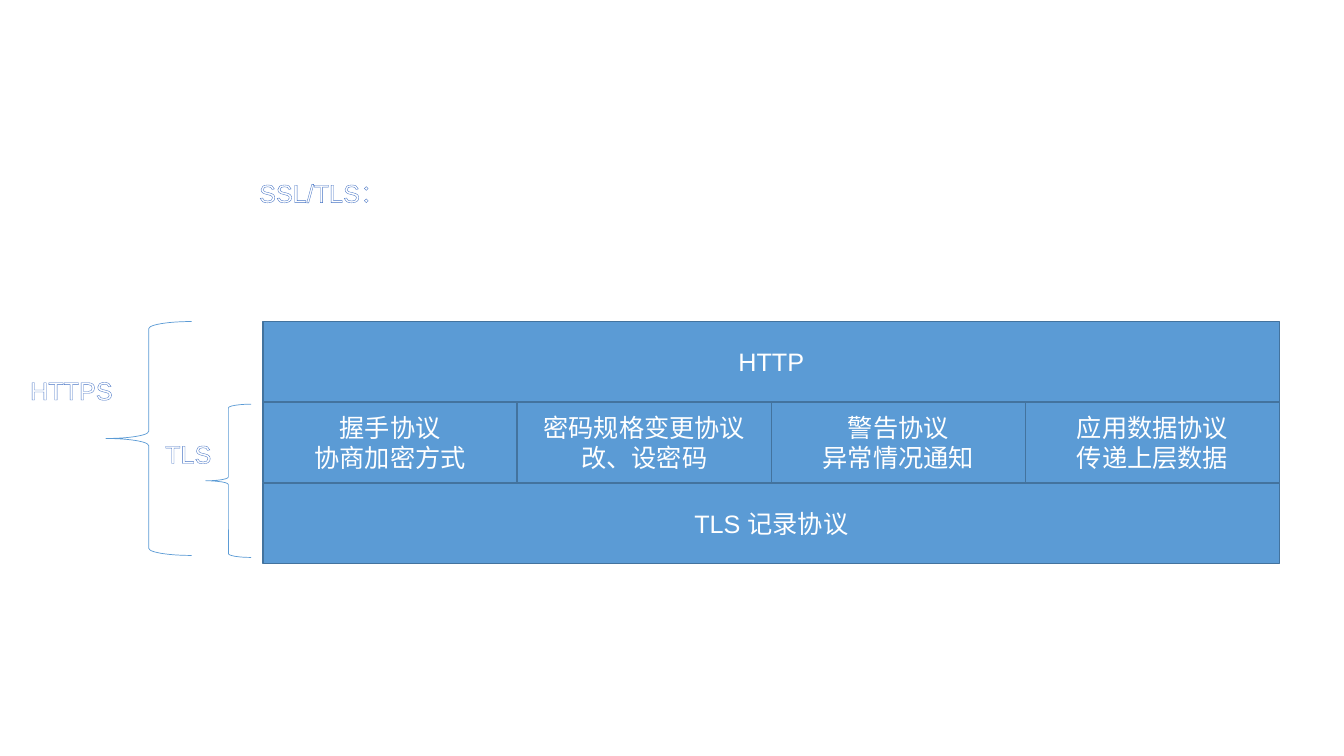
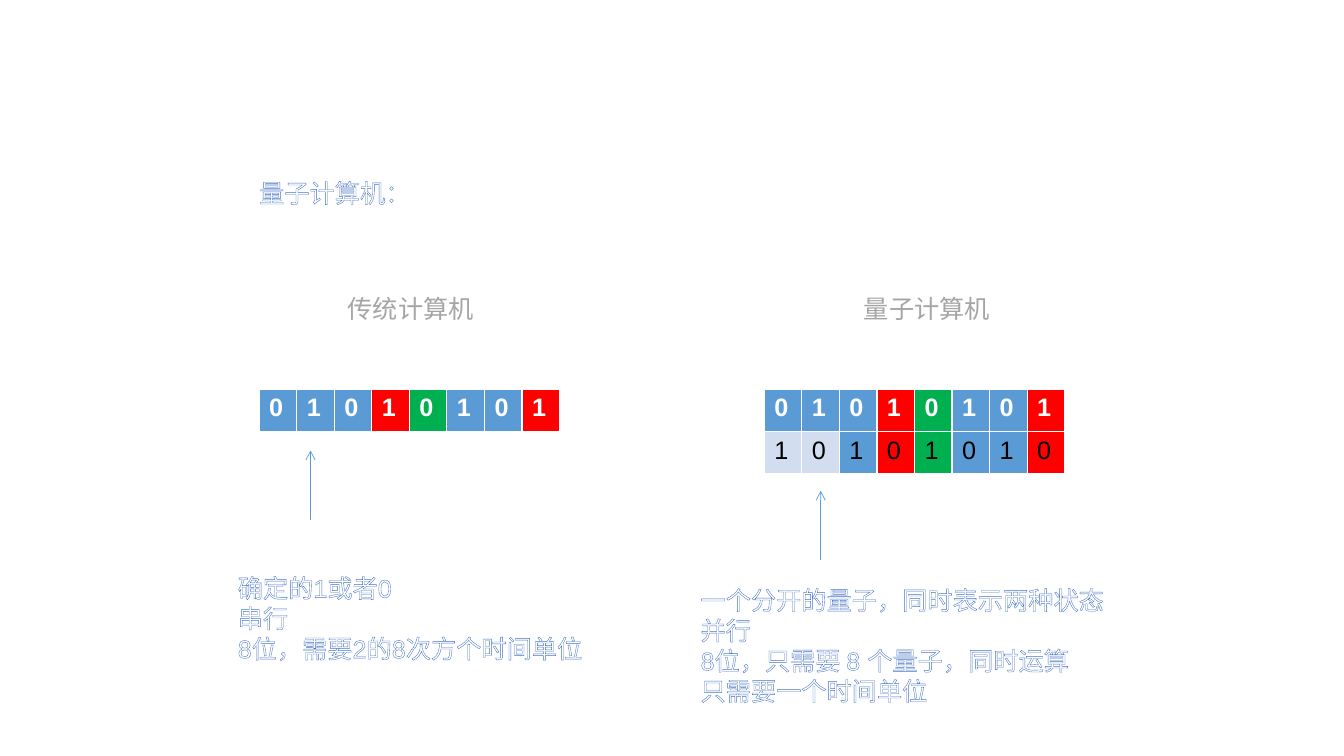
from dataclasses import dataclass

from lxml import etree
from pptx import Presentation
from pptx.dml.color import RGBColor
from pptx.enum.shapes import MSO_CONNECTOR, MSO_SHAPE
from pptx.enum.text import MSO_ANCHOR, MSO_AUTO_SIZE, PP_ALIGN
from pptx.oxml.ns import qn
from pptx.util import Inches, Pt

RECT, BRACE = MSO_SHAPE.RECTANGLE, MSO_SHAPE.LEFT_BRACE
LEFT, CENTER = PP_ALIGN.LEFT, PP_ALIGN.CENTER
TOP, MIDDLE = MSO_ANCHOR.TOP, MSO_ANCHOR.MIDDLE


@dataclass(frozen=True)
class Theme:
    font: str = "Arial"
    size: float = 18
    white: str = "FFFFFF"
    black: str = "000000"
    gray: str = "A5A5A5"
    blue: str = "5B9BD5"
    edge: str = "43739E"
    glow: str = "4472C4"
    pale: str = "D2DEEF"
    red: str = "FF0000"
    green: str = "00B050"
    box_line: float = 1
    thin: float = 0.5
    stroke: float = 0.8


T = Theme()
TITLE_AT = (2.47, 1.71, 4.32, 0.4)

# Protocol stack: one list per layer, top to bottom
STACK_AT = (2.61, 3.19, 10.08)
LAYER_H = 0.8
LAYERS = [
    ["HTTP"],
    ["握手协议\n协商加密方式", "密码规格变更协议\n改、设密码",
     "警告协议\n异常情况通知", "应用数据协议\n传递上层数据"],
    ["TLS 记录协议"],
]
BRACES = [(1.05, 3.19, 0.85, 2.32), (2.04, 4.01, 0.45, 1.52)]
TAGS = [("HTTPS", (0.2, 3.67, 1.02, 0.4)), ("TLS", (1.54, 4.3, 0.66, 0.4))]

# Bit rows of each computer
BIT_TOP, BIT_W, BIT_H = 3.86, 2.98, 0.42
ARROW_LEN = 0.69
HEAD_FILLS = [T.blue] * 3 + [T.red, T.green] + [T.blue] * 2 + [T.red]
ROW_FILLS = [HEAD_FILLS, [T.pale] * 2 + HEAD_FILLS[2:]]
MACHINES = [
    dict(name="传统计算机", name_x=3.35, bits=["01010101"], bits_x=2.57,
         arrow=(3.08, 4.47), note_at=(2.26, 5.63, 3.94, 1.01),
         note="确定的1或者0\n串行\n8位，需要2的8次方个时间单位"),
    dict(name="量子计算机", name_x=8.47, bits=["01010101", "10101010"],
         bits_x=7.58, arrow=(8.14, 4.87), note_at=(6.85, 5.75, 5.07, 1.31),
         note="一个分开的量子，同时表示两种状态\n并行\n"
              "8位，只需要 8 个量子，同时运算\n只需要一个时间单位"),
]


def rgb(code):
    return RGBColor.from_string(code)


def inch(nums):
    return [Inches(n) for n in nums]


def outline(run):
    """Draw the letters with a thin coloured contour."""
    ln = etree.Element(qn("a:ln"), w=str(Pt(T.stroke)))
    fill = etree.SubElement(ln, qn("a:solidFill"))
    etree.SubElement(fill, qn("a:srgbClr"), val=T.glow)
    run.font._element.insert(0, ln)


def write(frame, text, color=T.white, align=LEFT, bold=False, lined=False):
    frame.text = text
    for para in frame.paragraphs:
        para.alignment = align
        for run in para.runs:
            font = run.font
            font.name, font.size, font.bold = T.font, Pt(T.size), bold
            font.color.rgb = rgb(color)
            if lined:
                outline(run)


def label(slide, text, at, color=T.white, wrap=False, lined=True):
    frame = slide.shapes.add_textbox(*inch(at)).text_frame
    frame.word_wrap = wrap
    write(frame, text, color, lined=lined)


def shape(slide, kind, at, fill, line, width):
    part = slide.shapes.add_shape(kind, *inch(at))
    part.shadow.inherit = False
    if fill:
        part.fill.solid()
        part.fill.fore_color.rgb = rgb(fill)
    else:
        part.fill.background()
    part.line.color.rgb = rgb(line)
    part.line.width = Pt(width)
    return part


def arrow_up(slide, x, top):
    line = slide.shapes.add_connector(
        MSO_CONNECTOR.STRAIGHT, *inch((x, top + ARROW_LEN, x, top)))
    line.line.color.rgb = rgb(T.blue)
    line.line.width = Pt(T.thin)
    etree.SubElement(line.line._get_or_add_ln(), qn("a:tailEnd"), type="arrow")
    etree.SubElement(line._element.spPr, qn("a:effectLst"))


def bit_table(slide, rows, x):
    at = inch((x, BIT_TOP, BIT_W, BIT_H * len(rows)))
    table = slide.shapes.add_table(len(rows), len(rows[0]), *at).table
    table.horz_banding = False
    for r, bits in enumerate(rows):
        for c, bit in enumerate(bits):
            cell = table.cell(r, c)
            cell.fill.solid()
            cell.fill.fore_color.rgb = rgb(ROW_FILLS[r][c])
            write(cell.text_frame, bit, T.black if r else T.white, bold=not r)


def new_slide(deck, title):
    slide = deck.slides.add_slide(deck.slide_layouts[5])
    head = slide.shapes.title
    head.left, head.top, head.width, head.height = inch(TITLE_AT)
    frame = head.text_frame
    frame.word_wrap, frame.auto_size = True, MSO_AUTO_SIZE.NONE
    frame.vertical_anchor = TOP
    write(frame, title, lined=True)
    return slide


def stack_slide(deck):
    slide = new_slide(deck, "SSL/TLS：")
    left, top, wide = STACK_AT
    for row, names in enumerate(LAYERS):
        width = wide / len(names)
        for col, name in enumerate(names):
            at = (left + col * width, top + row * LAYER_H, width, LAYER_H)
            box = shape(slide, RECT, at, T.blue, T.edge, T.box_line)
            box.text_frame.vertical_anchor = MIDDLE
            write(box.text_frame, name, align=CENTER)
    for at in BRACES:
        shape(slide, BRACE, at, None, T.blue, T.thin)
    for text, at in TAGS:
        label(slide, text, at)


def quantum_slide(deck):
    slide = new_slide(deck, "量子计算机：")
    for m in MACHINES:
        label(slide, m["name"], (m["name_x"], 2.86, 1.45, 0.4), T.gray,
              lined=False)
        bit_table(slide, m["bits"], m["bits_x"])
        arrow_up(slide, *m["arrow"])
        label(slide, m["note"], m["note_at"], wrap=True)


def main():
    deck = Presentation()
    deck.slide_width, deck.slide_height = inch((13.33, 7.5))
    stack_slide(deck)
    quantum_slide(deck)
    deck.save("out.pptx")


if __name__ == "__main__":
    main()
